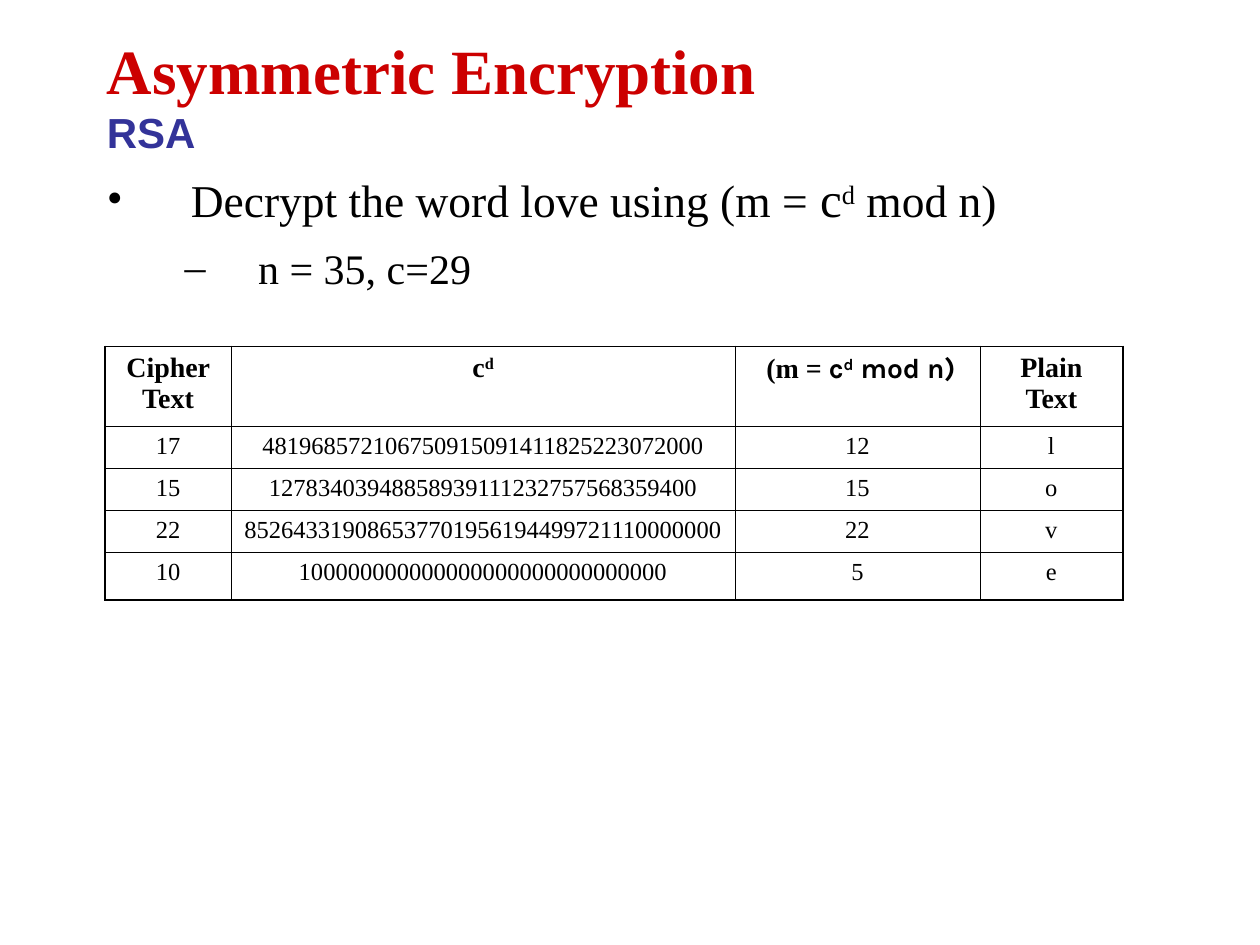
"""Build the slide on RSA decryption with its table of cipher and plain text."""
import dataclasses

import lxml.etree
import pptx
import pptx.dml.color
import pptx.enum.text
import pptx.oxml.ns
import pptx.util

Pt = pptx.util.Pt
qn = pptx.oxml.ns.qn


@dataclasses.dataclass(frozen=True)
class Theme:
    serif: str = "Times New Roman"
    sans: str = "Arial"
    accent_font: str = "Karla"
    ink: str = "000000"
    red: str = "CC0000"
    blue: str = "333399"
    title: float = 36
    subtitle: float = 24
    body: float = 26
    body_large: float = 28
    detail: float = 24
    header: float = 16
    cell: float = 14
    outer_line: float = 1.08
    inner_line: float = 0.45


theme = Theme()


def write(para, text, size, font=theme.serif, color=theme.ink, bold=False, raised=False):
    span = para.add_run()
    span.text = text
    span.font.size = Pt(size)
    span.font.name = font
    span.font.bold = bold
    span.font.color.rgb = pptx.dml.color.RGBColor.from_string(color)
    if raised:
        span.font._element.set("baseline", "30000")


def set_bullet(para, mark, left, hang):
    properties = para._p.get_or_add_pPr()
    properties.set("marL", str(Pt(left)))
    properties.set("indent", str(-Pt(hang)))
    color = lxml.etree.SubElement(properties, qn("a:buClr"))
    lxml.etree.SubElement(color, qn("a:srgbClr"), val=theme.ink)
    lxml.etree.SubElement(properties, qn("a:buFont"), typeface=theme.serif)
    lxml.etree.SubElement(properties, qn("a:buChar"), char=mark)


deck = pptx.Presentation()
deck.slide_width, deck.slide_height = Pt(720), Pt(540)
page = deck.slides.add_slide(deck.slide_layouts[6])

body_box = page.shapes.add_textbox(Pt(54), Pt(90), Pt(684), Pt(246))
body = body_box.text_frame
body.word_wrap = True
body.margin_top = Pt(6.4)
para = body.paragraphs[0]
set_bullet(para, "•", 48, 48)
write(para, "Decrypt the word love using (m = ", theme.body)
write(para, "c", theme.body_large)
write(para, "d", theme.body, raised=True)
write(para, " mod n)", theme.body)
para = body.add_paragraph()
para.level = 1
set_bullet(para, "–", 86.4, 42)
para.space_before = Pt(8.5)
write(para, "n = 35, c=29", theme.detail)

title_box = page.shapes.add_textbox(Pt(54), Pt(6), Pt(612), Pt(90))
title = title_box.text_frame
title.word_wrap = True
title.vertical_anchor = pptx.enum.text.MSO_ANCHOR.MIDDLE
title.margin_top = Pt(9)
para = title.paragraphs[0]
write(para, "Asymmetric Encryption", theme.title, color=theme.red, bold=True)
para.add_line_break()
write(para, "RSA", theme.subtitle, font=theme.sans, color=theme.blue, bold=True)

headings = [
    [("Cipher Text", {})],
    [("c", {}), ("d", {"raised": True})],
    [
        (" (m = ", {}),
        ("c", {"font": theme.accent_font}),
        ("d", {"font": theme.accent_font, "raised": True}),
        (" mod n)", {"font": theme.accent_font}),
    ],
    [("Plain Text", {})],
]
records = [
    ("17", "481968572106750915091411825223072000", "12", "l"),
    ("15", "12783403948858939111232757568359400", "15", "o"),
    ("22", "852643319086537701956194499721110000000", "22", "v"),
    ("10", "100000000000000000000000000000", "5", "e"),
]
rows = [headings] + [[[(value, {})] for value in record] for record in records]
widths = [72, 288, 140, 81.6]
heights = [45.6, 24, 24, 24, 27.2]

frame = page.shapes.add_table(
    len(rows), len(widths), Pt(60), Pt(198), Pt(sum(widths)), Pt(sum(heights))
)
table = frame.table
table.first_row = False
table.horz_banding = False
for column, width in zip(table.columns, widths):
    column.width = Pt(width)
for row, height in zip(table.rows, heights):
    row.height = Pt(height)

for row_index, row in enumerate(rows):
    is_header = row_index == 0
    for column_index, pieces in enumerate(row):
        cell = table.cell(row_index, column_index)
        para = cell.text_frame.paragraphs[0]
        para.alignment = pptx.enum.text.PP_ALIGN.CENTER
        size = theme.header if is_header else theme.cell
        for text, style in pieces:
            write(para, text, size, bold=is_header, **style)
        outer_sides = {
            "L": column_index == 0,
            "R": column_index == len(widths) - 1,
            "T": is_header,
            "B": row_index == len(rows) - 1,
        }
        properties = cell._tc.get_or_add_tcPr()
        for side, is_outer in outer_sides.items():
            weight = theme.outer_line if is_outer else theme.inner_line
            line = lxml.etree.SubElement(properties, qn(f"a:ln{side}"), w=str(Pt(weight)))
            fill = lxml.etree.SubElement(line, qn("a:solidFill"))
            lxml.etree.SubElement(fill, qn("a:srgbClr"), val=theme.ink)
        cell.fill.background()
        cell.margin_left = cell.margin_right = Pt(7.2)
        cell.margin_top = cell.margin_bottom = Pt(3.6)

deck.save("out.pptx")
